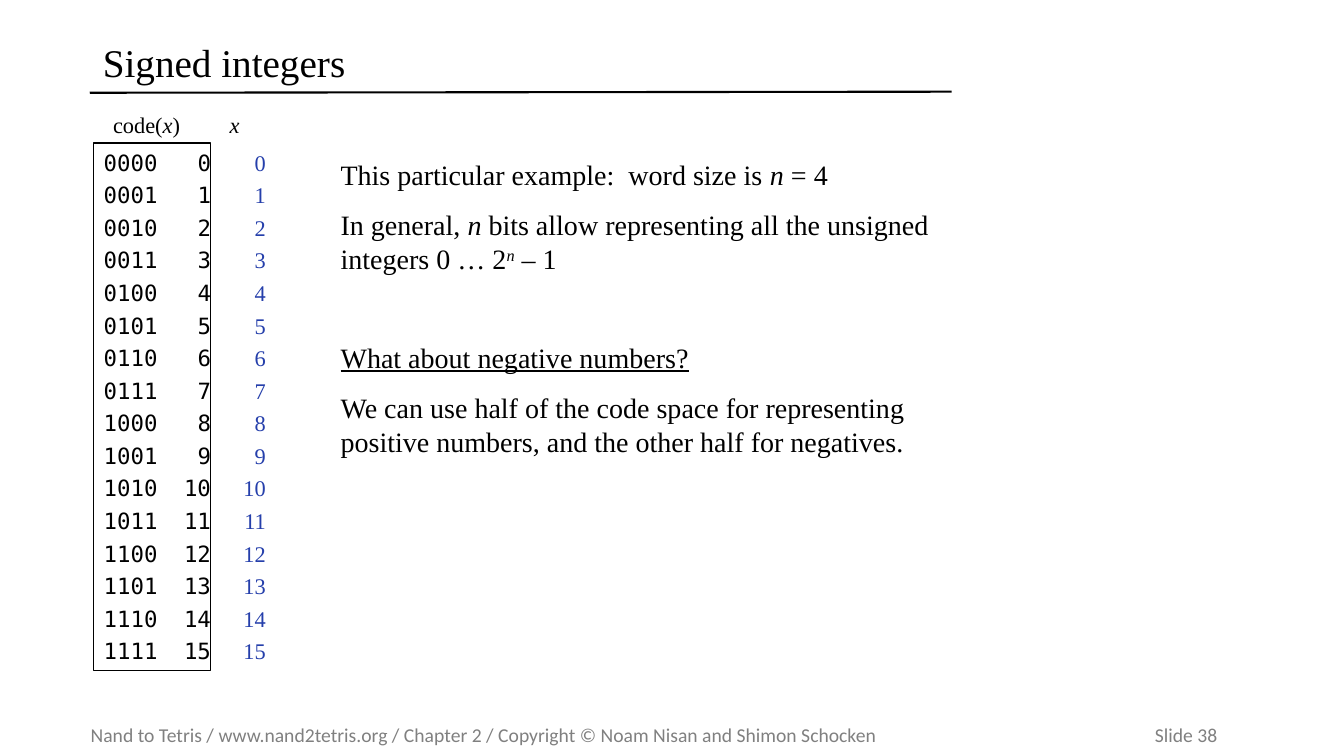
"""Build the signed integers slide."""
from lxml import etree
from pptx import Presentation
from pptx import util as u
from pptx.dml.color import RGBColor
from pptx.enum import shapes, text
from pptx.oxml.ns import qn

COLOURS = {"ink": "000000", "value": "253FAB", "footer": "808080"}
SERIF, MONO, SANS = "Times New Roman", "DejaVu Sans Mono", "Calibri"
WIDTH, HEIGHT = u.Inches(13.33), u.Inches(7.5)
WORD_SIZE = 4
CALLOUT_TIP = (-0.73, 0.02, 0.17)


def columns(count):
    """Return the length of a number of hundredths of the slide's width."""
    return u.Emu(int(WIDTH * count / 100))


def rows(count):
    """Return the length of a number of hundredths of the slide's height."""
    return u.Emu(int(HEIGHT * count / 100))


def place(left, top, width, height):
    """Turn a grid position into slide lengths."""
    return columns(left), rows(top), columns(width), rows(height)


def add_run(paragraph, words, size, font=SERIF, colour="ink", italic=False,
            underline=False, raised=False):
    """Add one formatted run to a paragraph."""
    run = paragraph.add_run()
    run.text = words
    run.font.size = u.Pt(size)
    run.font.name = font
    run.font.color.rgb = RGBColor.from_string(COLOURS[colour])
    run.font.italic = italic
    run.font.underline = underline
    if raised:
        run.font._element.set("baseline", "30000")


def add_box(slide, position, anchor=text.MSO_ANCHOR.TOP):
    """Add a wrapping text box and return its text frame."""
    frame = slide.shapes.add_textbox(*place(*position)).text_frame
    frame.word_wrap = True
    frame.vertical_anchor = anchor
    return frame


def add_unfilled_shape(slide, kind, position):
    """Add a preset shape without fill or shadow."""
    shape = slide.shapes.add_shape(kind, *place(*position))
    shape.shadow.inherit = False
    shape.fill.background()
    return shape


def next_paragraph(frame, index, space):
    """Return the paragraph at an index, spaced from the one before it."""
    if index == 0:
        return frame.paragraphs[0]
    paragraph = frame.add_paragraph()
    paragraph.space_before = u.Pt(space)
    return paragraph


def add_right_tabs(paragraph, stops):
    """Give a paragraph right-aligned tab stops."""
    tabs = etree.SubElement(paragraph._p.get_or_add_pPr(), qn("a:tabLst"))
    for stop in stops:
        etree.SubElement(tabs, qn("a:tab"), pos=str(columns(stop)), algn="r")


def add_title(slide, words):
    """Fill the title placeholder and draw the rule below it."""
    title = slide.shapes.title
    title.left, title.top, title.width, title.height = place(6.9, 4.33, 63.98, 8.4)
    title.text_frame.vertical_anchor = text.MSO_ANCHOR.MIDDLE
    paragraph = title.text_frame.paragraphs[0]
    paragraph.alignment = text.PP_ALIGN.LEFT
    paragraph.line_spacing = 0.9
    add_run(paragraph, words, 28)
    rule = slide.shapes.add_connector(
        shapes.MSO_CONNECTOR.STRAIGHT,
        columns(6.68), rows(12.27), columns(70.8), rows(12.13))
    rule.line.color.rgb = RGBColor.from_string(COLOURS["ink"])
    rule.line.width = u.Pt(1.5)
    etree.SubElement(rule._element.spPr, qn("a:effectLst"))


def add_heading(slide, left, pieces):
    """Add a heading above a column of codes or values."""
    paragraph = add_box(slide, (left, 14, 8.5, 4.93)).paragraphs[0]
    for words, italic in pieces:
        add_run(paragraph, words, 16, italic=italic)


def add_code_list(slide):
    """List every code of the word size with the value it stands for."""
    frame = add_box(slide, (6.98, 19.42, 14.63, 76.93))
    for value in range(2 ** WORD_SIZE):
        paragraph = next_paragraph(frame, value, 6)
        add_right_tabs(paragraph, (7.98, 12.06))
        paragraph.line_spacing = 0.9
        add_run(paragraph, f"{value:0{WORD_SIZE}b}\t{value}\t", 16, MONO)
        add_run(paragraph, str(value), 16, colour="value")


def add_frame(slide, position):
    """Outline the column of codes."""
    shape = add_unfilled_shape(slide, shapes.MSO_SHAPE.RECTANGLE, position)
    shape.line.color.rgb = RGBColor.from_string(COLOURS["ink"])
    shape.line.width = u.Pt(1)


def add_note(slide, top, paragraphs):
    """Add a callout holding paragraphs of formatted lines."""
    callout = add_unfilled_shape(
        slide, shapes.MSO_SHAPE.ROUNDED_RECTANGULAR_CALLOUT,
        (23.93, top, 48.84, 24.13))
    callout.line.fill.background()
    for index, share in enumerate(CALLOUT_TIP):
        callout.adjustments[index] = share
    frame = callout.text_frame
    frame.word_wrap = True
    frame.vertical_anchor = text.MSO_ANCHOR.MIDDLE
    for index, lines in enumerate(paragraphs):
        paragraph = next_paragraph(frame, index, 12)
        paragraph.alignment = text.PP_ALIGN.LEFT
        for number, line in enumerate(lines):
            if number:
                paragraph.add_line_break()
            for words, style in line:
                add_run(paragraph, words, 20, **style)


def add_footer(slide, credit, number):
    """Add the footer with the slide number at its right."""
    frame = add_box(slide, (6.75, 94.93, 91.88, 4.53), text.MSO_ANCHOR.MIDDLE)
    frame.margin_left = frame.margin_right = 0
    paragraph = frame.paragraphs[0]
    add_right_tabs(paragraph, (83.83,))
    add_run(paragraph, f"{credit}\t{number}", 14, SANS, "footer")


def main():
    """Build and save the slide."""
    presentation = Presentation()
    presentation.slide_width, presentation.slide_height = WIDTH, HEIGHT
    slide = presentation.slides.add_slide(presentation.slide_layouts[5])
    plain, italic = {}, {"italic": True}

    add_footer(slide, "Nand to Tetris / www.nand2tetris.org / Chapter 2 / "
               "Copyright © Noam Nisan and Shimon Schocken", "Slide 38")
    add_title(slide, "Signed integers")
    add_code_list(slide)
    add_heading(slide, 7.68, [("code(", False), ("x", True), (")", False)])
    add_heading(slide, 16.35, [("x", True)])
    add_frame(slide, (6.98, 18.93, 8.7, 69.73))
    add_note(slide, 16.55, [
        [[("This particular example:  word size is ", plain), ("n", italic),
          (" = 4", plain)]],
        [[("In general, ", plain), ("n", italic),
          (" bits allow representing all the unsigned integers 0 … 2", plain),
          ("n", {"italic": True, "raised": True}), (" – 1", plain)]],
    ])
    add_note(slide, 40.7, [
        [[("What about negative numbers?", {"underline": True})]],
        [[("We can use half of the code space for representing", plain)],
         [("positive numbers, and the other half for negatives.", plain)]],
    ])
    presentation.save("out.pptx")


if __name__ == "__main__":
    main()
